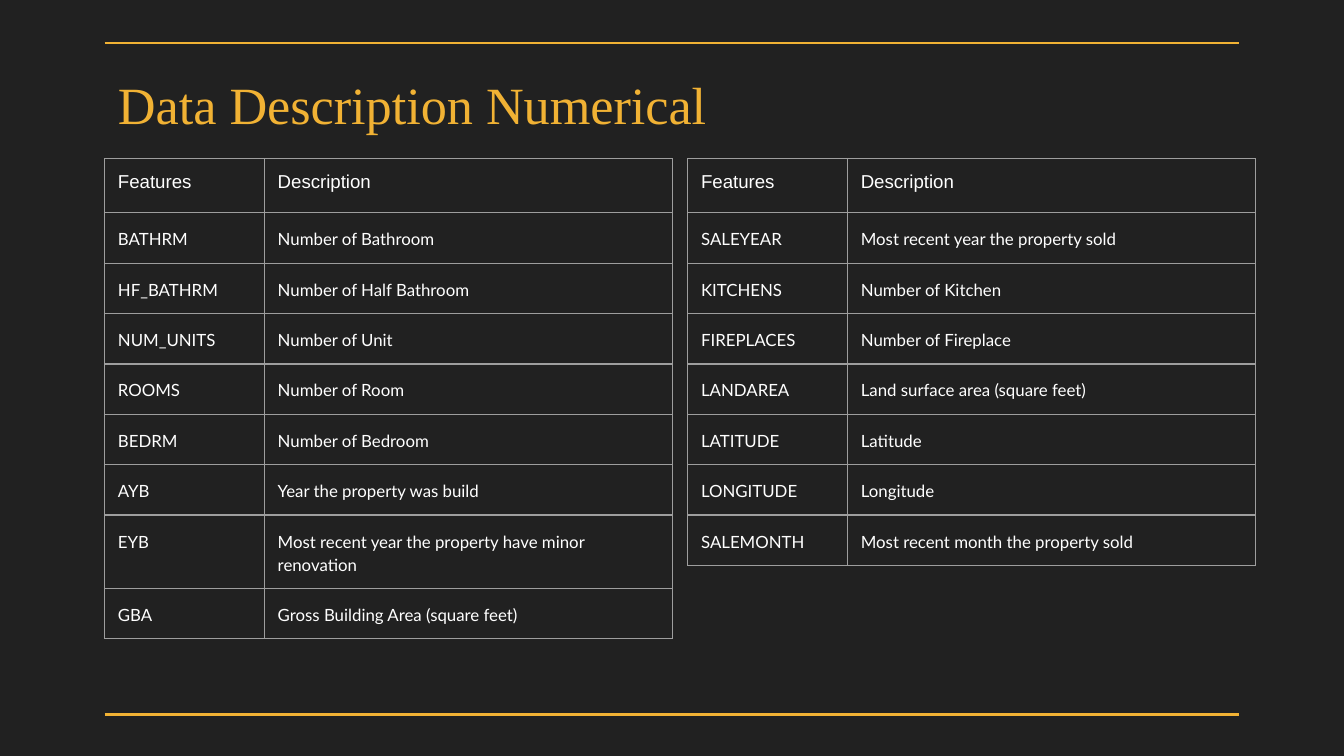
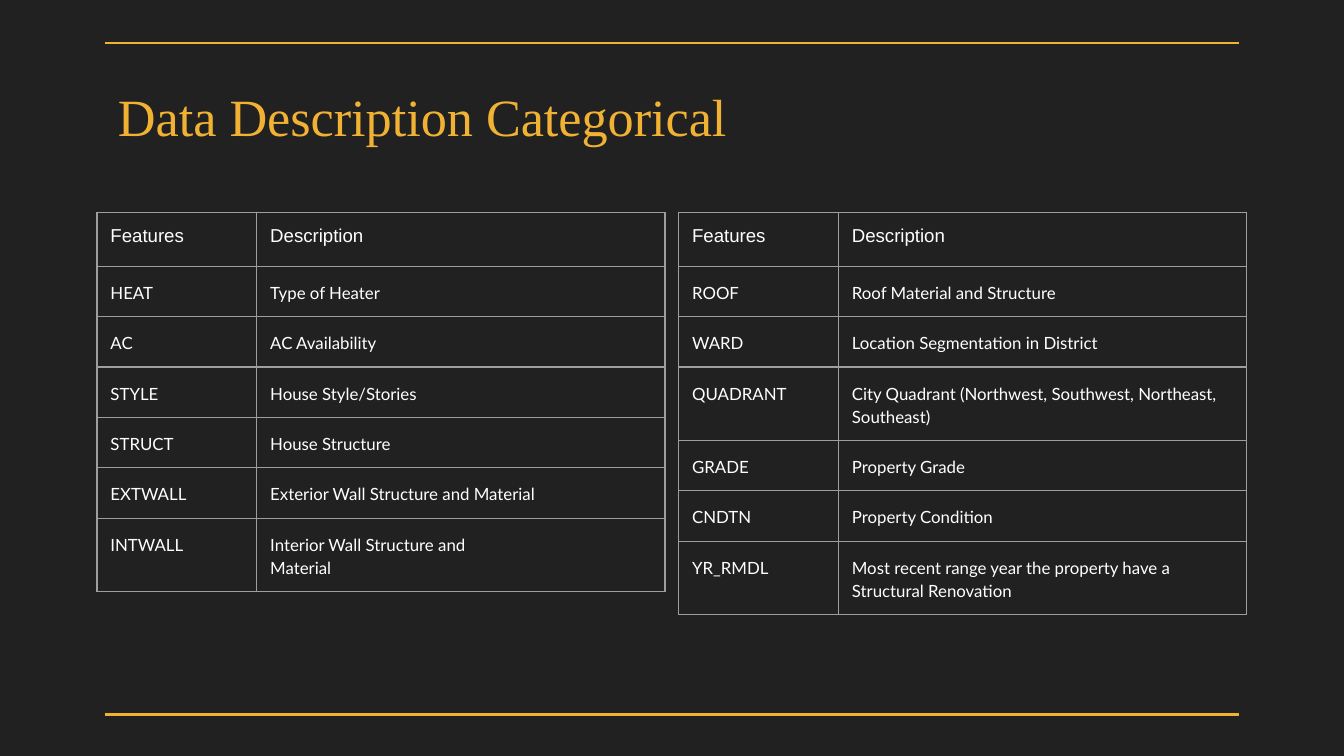
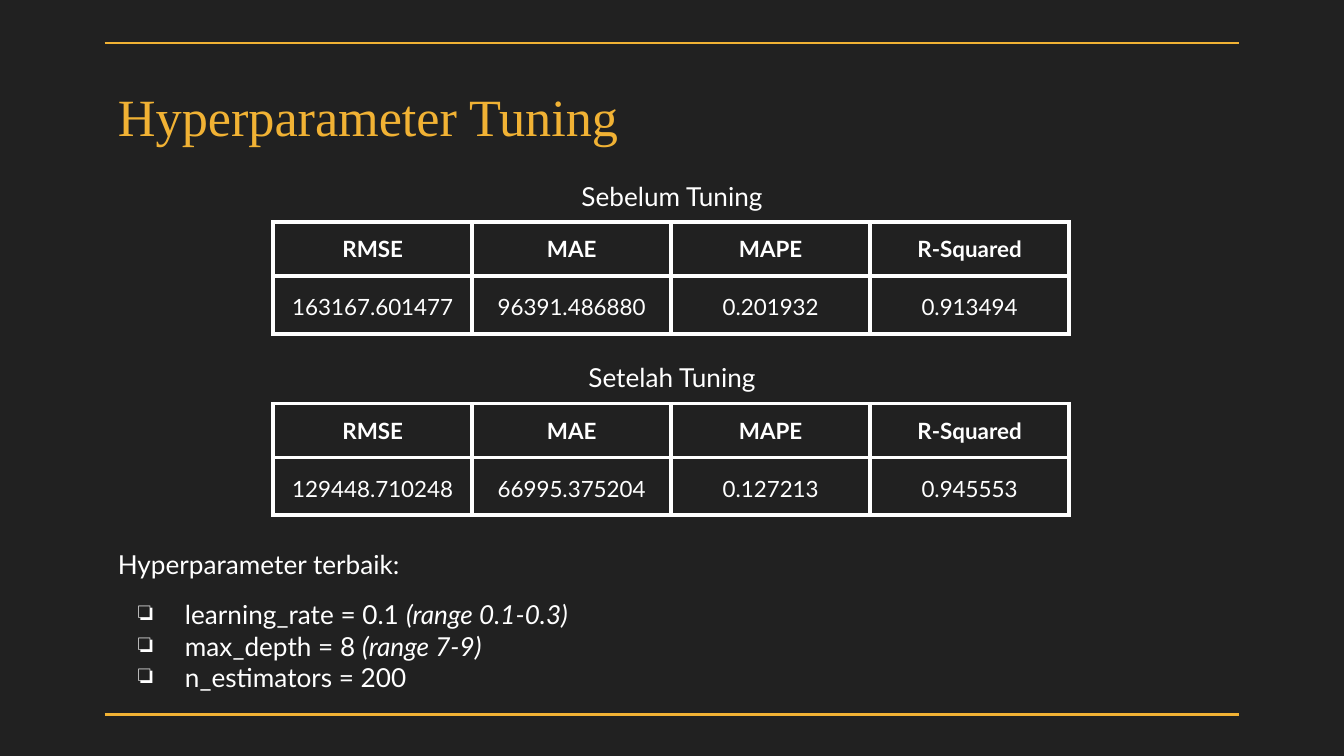
from lxml.etree import SubElement
from pptx import Presentation
from pptx.dml.color import RGBColor
from pptx.enum.shapes import MSO_CONNECTOR
from pptx.enum.text import MSO_ANCHOR, MSO_AUTO_SIZE, PP_ALIGN
from pptx.oxml.ns import qn
from pptx.util import Pt

BACKGROUND, GOLD, WHITE, GRAY = "212121", "F1B234", "FFFFFF", "9E9E9E"
LEFT, WIDTH = 56, 608
INSET = 7.2
FEATURE_COLUMNS = (85.6, 218.7)
METRIC_COLUMNS = (106.6,) * 4
METRICS = ("RMSE", "MAE", "MAPE", "R-Squared")

NUMERICAL_LEFT = [
    ("BATHRM", "Number of Bathroom"),
    ("HF_BATHRM", "Number of Half Bathroom"),
    ("NUM_UNITS", "Number of Unit"),
    ("ROOMS", "Number of Room"),
    ("BEDRM", "Number of Bedroom"),
    ("AYB", "Year the property was build"),
    ("EYB", "Most recent year the property have minor renovation"),
    ("GBA", "Gross Building Area (square feet)"),
]
NUMERICAL_RIGHT = [
    ("SALEYEAR", "Most recent year the property sold"),
    ("KITCHENS", "Number of Kitchen"),
    ("FIREPLACES", "Number of Fireplace"),
    ("LANDAREA", "Land surface area (square feet)"),
    ("LATITUDE", "Latitude"),
    ("LONGITUDE", "Longitude"),
    ("SALEMONTH", "Most recent month the property sold"),
]
CATEGORICAL_LEFT = [
    ("HEAT", "Type of Heater"),
    ("AC", "AC Availability"),
    ("STYLE", "House Style/Stories"),
    ("STRUCT", "House Structure"),
    ("EXTWALL", "Exterior Wall Structure and Material"),
    ("INTWALL", "Interior Wall Structure and\vMaterial"),
]
CATEGORICAL_RIGHT = [
    ("ROOF", "Roof Material and Structure"),
    ("WARD", "Location Segmentation in District"),
    ("QUADRANT", "City Quadrant (Northwest, Southwest, Northeast, Southeast)"),
    ("GRADE", "Property Grade"),
    ("CNDTN", "Property Condition"),
    ("YR_RMDL", "Most recent range year the property have a Structural Renovation"),
]
BEST_PARAMETERS = [
    ("learning_rate = 0.1 ", "(range 0.1-0.3)"),
    ("max_depth = 8 ", "(range 7-9)"),
    ("n_estimators = 200", ""),
]


def color(value):
    return RGBColor.from_string(value)


def style(para, name, size, value=WHITE, bold=False):
    font = para.font
    font.name, font.size, font.bold = name, Pt(size), bold
    font.color.rgb = color(value)


def prepare_frame(frame, anchor=MSO_ANCHOR.TOP):
    frame.word_wrap = True
    frame.auto_size = MSO_AUTO_SIZE.NONE
    frame.vertical_anchor = anchor
    frame.margin_left = frame.margin_right = Pt(INSET)
    frame.margin_top = frame.margin_bottom = Pt(INSET)


def add_rule(page, top):
    rule = page.shapes.add_connector(
        MSO_CONNECTOR.STRAIGHT, Pt(LEFT), Pt(top), Pt(LEFT + WIDTH), Pt(top))
    rule.line.color.rgb = color(GOLD)
    rule.line.width = Pt(1.5)
    SubElement(rule._element.spPr, qn("a:effectLst"))


def add_page(deck, heading, top=43.2):
    page = deck.slides.add_slide(deck.slide_layouts[5])
    for rule_top in (23, 383):
        add_rule(page, rule_top)
    title = page.shapes.title
    title.left, title.top = Pt(LEFT), Pt(top)
    title.width, title.height = Pt(WIDTH), Pt(37.4)
    prepare_frame(title.text_frame, MSO_ANCHOR.MIDDLE)
    para = title.text_frame.paragraphs[0]
    para.text = heading
    para.alignment = PP_ALIGN.LEFT
    style(para, "Times New Roman", 28, GOLD)
    return page


def set_borders(cell, value, width):
    properties = cell._tc.get_or_add_tcPr()
    for side in ("lnL", "lnR", "lnT", "lnB"):
        border = SubElement(properties, qn(f"a:{side}"), w=str(Pt(width)))
        fill = SubElement(border, qn("a:solidFill"))
        SubElement(fill, qn("a:srgbClr"), val=value)


def add_grid(page, left, top, columns, heights, rows, border, format_cell):
    frame = page.shapes.add_table(
        len(rows), len(columns), Pt(left), Pt(top), Pt(sum(columns)), Pt(sum(heights)))
    table = frame.table
    table.first_row = table.horz_banding = False
    for column, width in zip(table.columns, columns):
        column.width = Pt(width)
    for index, (row, height, texts) in enumerate(zip(table.rows, heights, rows)):
        row.height = Pt(height)
        for cell, text in zip(row.cells, texts):
            set_borders(cell, *border)
            cell.fill.background()
            cell.margin_left = cell.margin_right = Pt(INSET)
            cell.margin_top = cell.margin_bottom = Pt(INSET)
            para = cell.text_frame.paragraphs[0]
            para.text = text
            if index:
                para.line_spacing = 1.15
            format_cell(cell, para, index == 0)


def format_feature(cell, para, is_header):
    style(para, *(("Arial", 10) if is_header else ("Lato", 9)))


def format_metric(cell, para, is_header):
    cell.vertical_anchor = MSO_ANCHOR.MIDDLE
    para.alignment = PP_ALIGN.CENTER
    style(para, "Lato", 12, bold=is_header)


def add_feature_table(page, left, top, features):
    rows = [("Features", "Description"), *features]
    heights = [29] + [27] * len(features)
    add_grid(page, left, top, FEATURE_COLUMNS, heights, rows, (GRAY, 0.75), format_feature)


def add_body(page, top, height):
    box = page.shapes.add_textbox(Pt(LEFT), Pt(top), Pt(WIDTH), Pt(height))
    prepare_frame(box.text_frame)
    return box.text_frame


def add_scores(page, top, caption, values):
    para = add_body(page, top, 30).paragraphs[0]
    para.text = caption
    para.alignment = PP_ALIGN.CENTER
    style(para, "Lato", 14)
    add_grid(page, 146.4, top + 29.8, METRIC_COLUMNS, (28.8, 31),
             (METRICS, values), (WHITE, 2.25), format_metric)


def add_bullet(para):
    properties = para._p.get_or_add_pPr()
    properties.set("marL", str(Pt(36)))
    properties.set("indent", str(Pt(-25)))
    bullet_color = SubElement(properties, qn("a:buClr"))
    SubElement(bullet_color, qn("a:srgbClr"), val=WHITE)
    SubElement(properties, qn("a:buChar"), char="❏")


def add_best_parameters(page, top):
    frame = add_body(page, top, 102)
    para = frame.paragraphs[0]
    para.text = "Hyperparameter terbaik:"
    style(para, "Lato", 14)
    for index, (setting, search_range) in enumerate(BEST_PARAMETERS):
        para = frame.add_paragraph()
        add_bullet(para)
        para.space_before = Pt(0 if index else 10)
        style(para, "Lato", 14)
        para.add_run().text = setting
        if search_range:
            span = para.add_run()
            span.text = search_range
            span.font.italic = True


def main():
    deck = Presentation()
    deck.slide_width, deck.slide_height = Pt(720), Pt(405)
    background = deck.slide_master.background.fill
    background.solid()
    background.fore_color.rgb = color(BACKGROUND)

    numerical = add_page(deck, "Data Description Numerical", 36.9)
    add_feature_table(numerical, LEFT, 85, NUMERICAL_LEFT)
    add_feature_table(numerical, 368.4, 85, NUMERICAL_RIGHT)

    categorical = add_page(deck, "Data Description Categorical")
    add_feature_table(categorical, 52, 113.7, CATEGORICAL_LEFT)
    add_feature_table(categorical, 363.6, 113.7, CATEGORICAL_RIGHT)

    tuning = add_page(deck, "Hyperparameter Tuning")
    add_scores(tuning, 89.2, "Sebelum Tuning",
               ("163167.601477", "96391.486880", "0.201932", "0.913494"))
    add_scores(tuning, 186.4, "Setelah Tuning",
               ("129448.710248", "66995.375204", "0.127213", "0.945553"))
    add_best_parameters(tuning, 286.8)

    deck.save("out.pptx")


if __name__ == "__main__":
    main()
